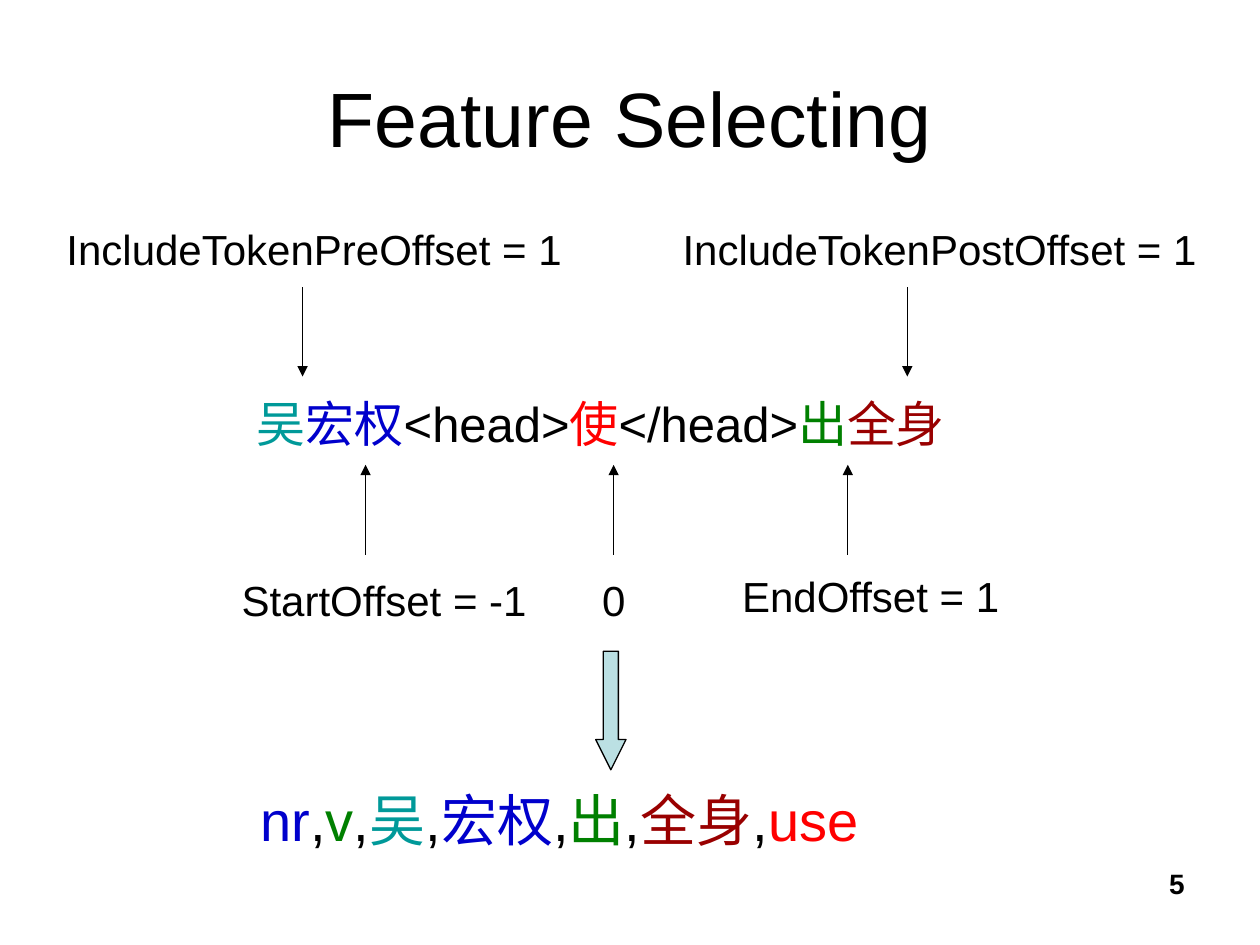
from dataclasses import dataclass

from lxml.etree import SubElement
from pptx import Presentation
from pptx.dml.color import RGBColor
from pptx.enum.shapes import MSO_CONNECTOR, MSO_SHAPE
from pptx.enum.text import MSO_ANCHOR, MSO_AUTO_SIZE, PP_ALIGN
from pptx.oxml.ns import qn
from pptx.util import Cm, Pt


@dataclass(frozen=True)
class Theme:
    """Font, colours and type sizes of the slide."""
    font: str = "Arial"
    black: str = "000000"
    teal: str = "009999"
    blue: str = "0000CC"
    red: str = "FF0000"
    green: str = "008000"
    maroon: str = "990000"
    pale: str = "BBE0E3"
    title: int = 44
    result: int = 32
    sentence: int = 28
    label: int = 24
    number: int = 16
    line: float = 0.75


T = Theme()


def set_attrs(obj, values):
    """Set each named attribute of an object."""
    for name, value in values.items():
        setattr(obj, name, value)


def place(sp, box):
    """Move a shape to a box given in centimetres."""
    set_attrs(sp, dict(zip(("left", "top", "width", "height"), map(Cm, box))))


def write(tf, runs, size, align=PP_ALIGN.LEFT, bold=False):
    """Fill the first paragraph with coloured runs."""
    p = tf.paragraphs[0]
    p.alignment = align
    for text, color in runs:
        r = p.add_run()
        r.text = text
        set_attrs(r.font, {"name": T.font, "size": Pt(size), "bold": bold})
        r.font.color.rgb = RGBColor.from_string(color)


def add_text(s, box, runs, size, wrap=False, **style):
    """Add a text box, fitted to its text unless it wraps."""
    tf = s.shapes.add_textbox(*map(Cm, box)).text_frame
    fit = MSO_AUTO_SIZE.NONE if wrap else MSO_AUTO_SIZE.SHAPE_TO_FIT_TEXT
    set_attrs(tf, {"word_wrap": wrap, "auto_size": fit})
    write(tf, runs, size, **style)


def add_arrow(s, x, start, end):
    """Add a thin vertical arrow."""
    c = s.shapes.add_connector(MSO_CONNECTOR.STRAIGHT, Cm(x), Cm(start), Cm(x), Cm(end))
    c.line.color.rgb = RGBColor.from_string(T.black)
    c.line.width = Pt(T.line)
    SubElement(c.line._get_or_add_ln(), qn("a:tailEnd"), type="triangle")
    SubElement(c._element.spPr, qn("a:effectLst"))


def add_title(s, box, text):
    """Format the title placeholder."""
    sp = s.shapes.title
    place(sp, box)
    set_attrs(sp.text_frame, {"vertical_anchor": MSO_ANCHOR.MIDDLE, "word_wrap": True,
                              "auto_size": MSO_AUTO_SIZE.NONE})
    write(sp.text_frame, [(text, T.black)], T.title, PP_ALIGN.CENTER)


def add_offsets(s, box, labels, arrows, start, end):
    """Place a row of labels and the arrows that link them to the sentence."""
    left, top = box[:2]
    for text, dx, dy, width in labels:
        add_text(s, (left + dx, top + dy, width, 1.27), [(text, T.black)], T.label)
    for dx in arrows:
        add_arrow(s, left + dx, top + start, top + end)


def add_result(s, box, runs):
    """Place the block arrow and the feature list below it."""
    left, top, width, height = box
    sp = s.shapes.add_shape(MSO_SHAPE.DOWN_ARROW, 0, 0, 0, 0)
    place(sp, (left + 7.01, top, 0.61, 2.39))
    sp.adjustments[0], sp.adjustments[1] = 0.5, 1
    sp.shadow.inherit = False
    sp.fill.solid()
    sp.fill.fore_color.rgb = RGBColor.from_string(T.pale)
    sp.line.color.rgb = RGBColor.from_string(T.black)
    sp.line.width = Pt(T.line)
    add_text(s, (left, top + 2.59, width, height - 2.59), runs, T.result)


def main():
    """Build and save the slide."""
    prs = Presentation()
    set_attrs(prs, {"slide_width": Cm(25.4), "slide_height": Cm(19.05)})
    s = prs.slides.add_slide(prs.slide_layouts[5])
    add_title(s, (1.27, 0.76, 22.86, 3.18), "Feature Selecting")
    add_offsets(s, (1.09, 4.39, 23.39, 3.2),
                [("IncludeTokenPreOffset = 1", 0, 0, 10.59),
                 ("IncludeTokenPostOffset = 1", 12.42, 0, 10.97)],
                (5.01, 17.2), 1.4, 3.2)
    add_text(s, (4.93, 7.8, 15.32, 1.45),
             [("吴", T.teal), ("宏权", T.blue), ("<head>", T.black), ("使", T.red),
              ("</head>", T.black), ("出", T.green), ("全身", T.maroon)], T.sentence)
    add_offsets(s, (4.62, 9.37, 15.81, 3.36),
                [("StartOffset = -1", 0, 2.09, 6.27), ("0", 7.27, 2.09, 0.97),
                 ("EndOffset = 1", 10.09, 2.01, 5.72)],
                (2.75, 7.75, 12.47), 1.81, 0)
    comma = (",", T.black)
    add_result(s, (5, 13.13, 14.73, 4.22),
               [("nr", T.blue), comma, ("v", T.green), comma, ("吴", T.teal), comma,
                ("宏权", T.blue), comma, ("出", T.green), comma, ("全身", T.maroon),
                comma, ("use", T.red)])
    add_text(s, (18.21, 17.35, 5.92, 1.32), [("5", T.black)], T.number, wrap=True,
             align=PP_ALIGN.RIGHT, bold=True)
    prs.save("out.pptx")


if __name__ == "__main__":
    main()
